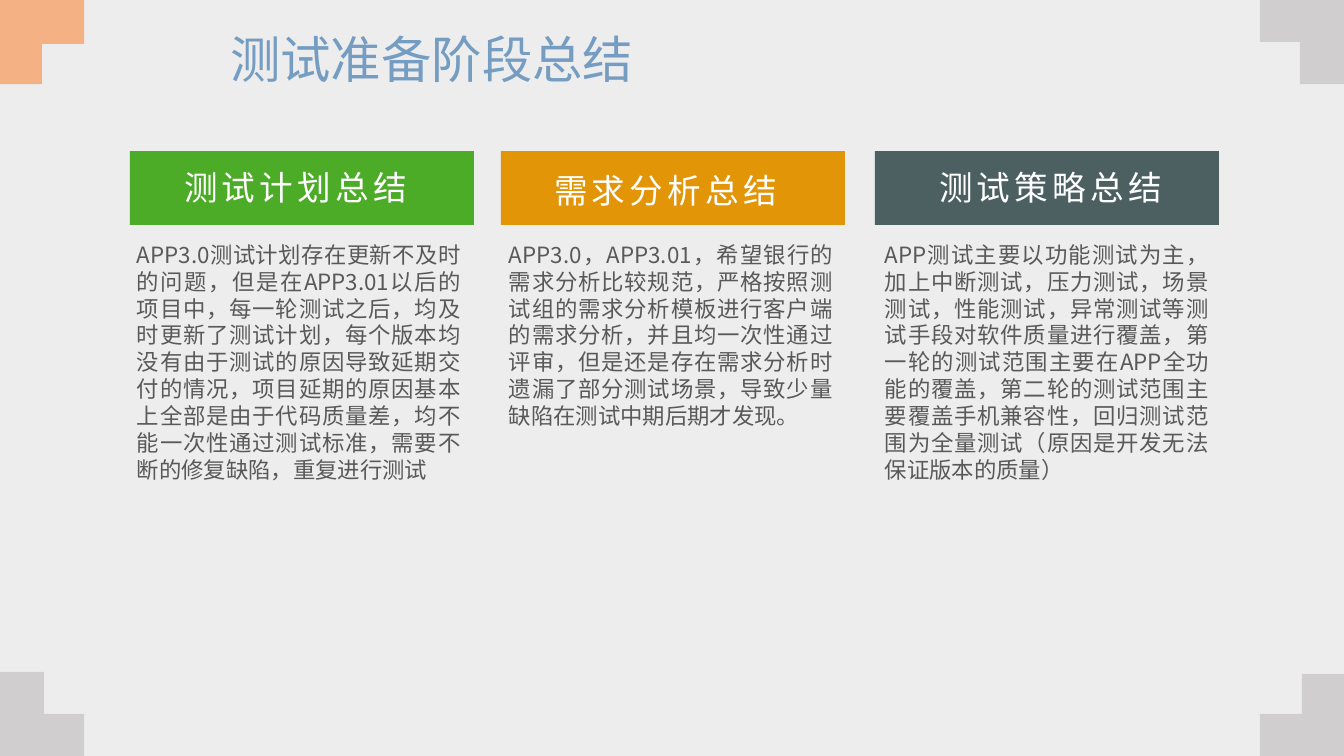
from pptx import Presentation
from pptx import util as u
from pptx.dml.color import RGBColor
from pptx.enum import shapes, text
from pptx.oxml.ns import qn
from lxml import etree

PX = 914400 / 100.8
WIDTH, HEIGHT = 1344, 756
FONT = "Noto Sans CJK SC"
BACKGROUND = RGBColor(0xED, 0xED, 0xED)
GRAY = RGBColor(0xD0, 0xCE, 0xCE)
PEACH = RGBColor(0xF4, 0xB1, 0x83)
GREEN = RGBColor(0x4C, 0xAB, 0x27)
ORANGE = RGBColor(0xE3, 0x95, 0x08)
SLATE = RGBColor(0x4C, 0x60, 0x62)
BLUE = RGBColor(0x75, 0x9D, 0xC2)
DARK = RGBColor(0x59, 0x59, 0x59)
WHITE = RGBColor(0xFF, 0xFF, 0xFF)

CORNERS = [
    (PEACH, [(0, 0), (84, 0), (84, 44), (42, 44), (42, 84), (0, 84)]),
    (GRAY, [(1344, 0), (1344, 84), (1300, 84), (1300, 42), (1260, 42), (1260, 0)]),
    (GRAY, [(0, 672), (44, 672), (44, 714), (84, 714), (84, 756), (0, 756)]),
    (GRAY, [(1344, 674), (1344, 756), (1260, 756), (1260, 714), (1302, 714), (1302, 674)]),
]

COLUMNS = [
    (130, 171, 162, 127, GREEN, "测试计划总结",
     "APP3.0测试计划存在更新不及时的问题，但是在APP3.01以后的项目中，每一轮测试之后，"
     "均及时更新了测试计划，每个版本均没有由于测试的原因导致延期交付的情况，"
     "项目延期的原因基本上全部是由于代码质量差，均不能一次性通过测试标准，"
     "需要不断的修复缺陷，重复进行测试"),
    (501, 541, 165, 499, ORANGE, "需求分析总结",
     "APP3.0，APP3.01，希望银行的需求分析比较规范，严格按照测试组的需求分析模板"
     "进行客户端的需求分析，并且均一次性通过评审，但是还是存在需求分析时遗漏了部分测试场景，"
     "导致少量缺陷在测试中期后期才发现。"),
    (875, 926, 162, 875, SLATE, "测试策略总结",
     "APP测试主要以功能测试为主，加上中断测试，压力测试，场景测试，性能测试，"
     "异常测试等测试手段对软件质量进行覆盖，第一轮的测试范围主要在APP全功能的覆盖，"
     "第二轮的测试范围主要覆盖手机兼容性，回归测试范围为全量测试"
     "（原因是开发无法保证版本的质量）"),
]


def px(*lengths):
    """Turn pixel lengths into EMU."""
    return [u.Emu(round(length * PX)) for length in lengths]


def paint(shape, color):
    """Give a shape a flat fill without line or shadow."""
    shape.shadow.inherit = False
    shape.fill.solid()
    shape.fill.fore_color.rgb = color
    shape.line.fill.background()


def add_corner(slide, color, points):
    """Draw one stepped corner ornament."""
    builder = slide.shapes.build_freeform(*points[0], scale=PX)
    builder.add_line_segments(points[1:], close=True)
    paint(builder.convert_to_shape(), color)


def write(shape, words, size, color, align, spacing, tracking=0):
    """Write one formatted run into a shape."""
    paragraph = shape.text_frame.paragraphs[0]
    paragraph.alignment = align
    paragraph.line_spacing = spacing
    run = paragraph.add_run()
    run.text = words
    run.font.size = u.Pt(size)
    run.font.name = FONT
    run.font.color.rgb = color
    properties = run.font._element
    etree.SubElement(properties, qn("a:ea")).set("typeface", FONT)
    if tracking:
        properties.set("spc", str(tracking * 100))


def add_label(slide, box, words, size, color, align, wrap, tracking=0):
    """Add a text box with its lines set at 1.2 times the text size."""
    shape = slide.shapes.add_textbox(*px(*box))
    shape.text_frame.word_wrap = wrap
    write(shape, words, size, color, align, u.Pt(size * 1.2), tracking)


def add_column(slide, bar_left, heading_left, heading_top, body_left, color, heading, body):
    """Add a coloured heading bar and the summary below it."""
    bar = slide.shapes.add_shape(shapes.MSO_SHAPE.RECTANGLE, *px(bar_left, 151, 344, 74))
    paint(bar, color)
    add_label(slide, (heading_left, heading_top, 249, 50), heading, 24, WHITE,
              text.PP_ALIGN.CENTER, False, 3)
    add_label(slide, (body_left, 236, 344, 254), body, 16, DARK,
              text.PP_ALIGN.JUSTIFY, True)


def set_title(slide, words):
    """Place and format the title placeholder."""
    title = slide.shapes.title
    title.left, title.top, title.width, title.height = px(220, 28, 905, 68)
    title.text_frame.vertical_anchor = text.MSO_ANCHOR.MIDDLE
    write(title, words, 36, BLUE, text.PP_ALIGN.LEFT, 0.9)


def main():
    """Build and save the slide."""
    presentation = Presentation()
    presentation.slide_width, presentation.slide_height = px(WIDTH, HEIGHT)
    slide = presentation.slides.add_slide(presentation.slide_layouts[5])
    slide.background.fill.solid()
    slide.background.fill.fore_color.rgb = BACKGROUND
    for corner in CORNERS:
        add_corner(slide, *corner)
    for column in COLUMNS:
        add_column(slide, *column)
    set_title(slide, "测试准备阶段总结")
    presentation.save("out.pptx")


if __name__ == "__main__":
    main()
